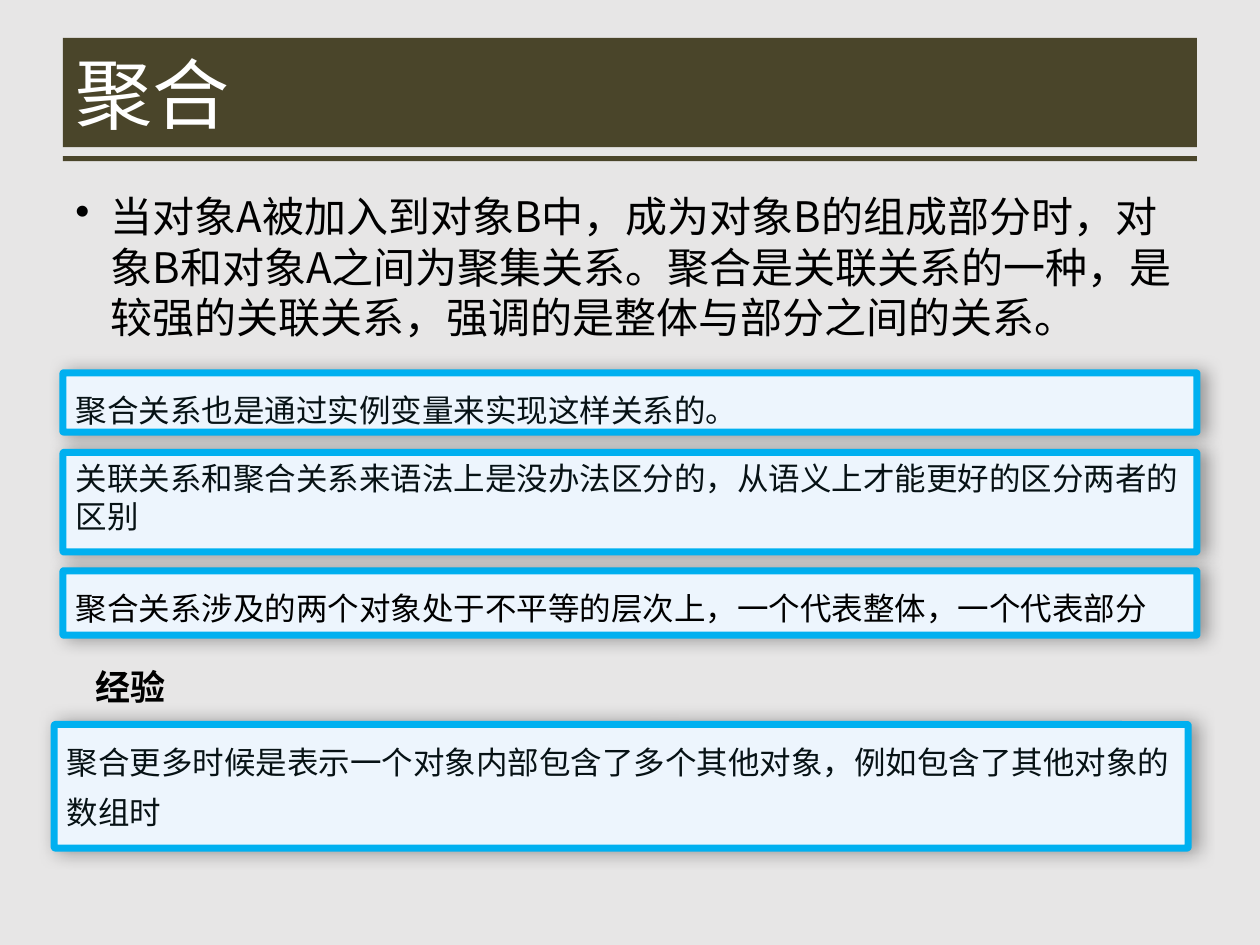
import lxml.etree
import pptx
import pptx.dml.color
import pptx.enum.shapes
import pptx.enum.text
import pptx.oxml.ns
import pptx.util

Pt = pptx.util.Pt
RGBColor = pptx.dml.color.RGBColor
MSO_SHAPE = pptx.enum.shapes.MSO_SHAPE
ANCHOR = pptx.enum.text.MSO_ANCHOR
qn = pptx.oxml.ns.qn

BACKGROUND = RGBColor(0xE7, 0xE6, 0xE6)
OLIVE = RGBColor(0x4A, 0x45, 0x2A)
WHITE = RGBColor(0xFF, 0xFF, 0xFF)
BLACK = RGBColor(0, 0, 0)
INK = RGBColor(0x07, 0x12, 0x15)
PALE_BLUE = RGBColor(0xED, 0xF5, 0xFD)
SKY_BLUE = RGBColor(0x00, 0xB0, 0xF0)

LEFT, WIDTH = 36, 648
SINGLE, LOOSE = 21.7, 28.6


class SlideStyler:
    font_name = "Noto Sans CJK SC"

    def __init__(self, slide):
        self.slide = slide
        slide.background.fill.solid()
        slide.background.fill.fore_color.rgb = BACKGROUND

    def wording(self, shape, words, size, color, bold=False,
                anchor=ANCHOR.TOP, wrap=True, spacing=None):
        frame = shape.text_frame
        frame.word_wrap = wrap
        frame.vertical_anchor = anchor
        paragraph = frame.paragraphs[0]
        paragraph.text = words
        paragraph.alignment = pptx.enum.text.PP_ALIGN.LEFT
        if spacing:
            paragraph.line_spacing = Pt(spacing)
        font = paragraph.font
        font.name, font.size, font.bold = self.font_name, Pt(size), bold
        font.color.rgb = color
        latin = paragraph._p.pPr.find(qn("a:defRPr")).find(qn("a:latin"))
        east_asian = lxml.etree.Element(qn("a:ea"), typeface=self.font_name)
        latin.addnext(east_asian)
        return paragraph

    def text(self, left, top, width, height, words, size, color, **style):
        box = self.slide.shapes.add_textbox(Pt(left), Pt(top), Pt(width), Pt(height))
        return self.wording(box, words, size, color, **style)

    def bullet(self, paragraph, indent):
        properties = paragraph._p.get_or_add_pPr()
        properties.set("marL", str(Pt(indent)))
        properties.set("indent", str(-Pt(indent)))
        mark = lxml.etree.Element(qn("a:buChar"), char="•")
        properties.find(qn("a:defRPr")).addprevious(mark)

    def shadow(self, properties, blur, distance, direction, opacity):
        effects = properties.find(qn("a:effectLst"))
        if effects is None:
            effects = lxml.etree.SubElement(properties, qn("a:effectLst"))
        outer = lxml.etree.SubElement(
            effects, qn("a:outerShdw"), blurRad=str(Pt(blur)),
            dist=str(Pt(distance)), dir=str(direction * 60000))
        color = lxml.etree.SubElement(outer, qn("a:srgbClr"), val=str(BLACK))
        lxml.etree.SubElement(color, qn("a:alpha"), val=str(opacity * 1000))

    def block(self, kind, left, top, width, height, fill):
        shape = self.slide.shapes.add_shape(
            kind, Pt(left), Pt(top), Pt(width), Pt(height))
        shape.shadow.inherit = False
        shape.fill.solid()
        shape.fill.fore_color.rgb = fill
        shape.line.fill.background()
        return shape

    def note(self, left, top, height, words, color, spacing):
        card = self.block(MSO_SHAPE.ROUNDED_RECTANGLE, left, top, WIDTH, height, PALE_BLUE)
        card.adjustments[0] = 0.01
        card.line.color.rgb = SKY_BLUE
        card.line.width = Pt(4)
        self.shadow(card._element.spPr, 10, 3, 0, 35)
        self.wording(card, words, 18, color, spacing=spacing)


def main():
    deck = pptx.Presentation()
    deck.slide_width, deck.slide_height = Pt(720), Pt(540)
    styler = SlideStyler(deck.slides.add_slide(deck.slide_layouts[6]))

    for top, height in ((21.6, 62.6), (89.3, 2.9)):
        styler.block(MSO_SHAPE.RECTANGLE, LEFT, top, WIDTH, height, OLIVE)
    styler.text(LEFT, 21.6, WIDTH, 62.6, "聚合", 44, WHITE, anchor=ANCHOR.MIDDLE)

    definition = styler.text(
        LEFT, 105.8, WIDTH, 376.6,
        "当对象A被加入到对象B中，成为对象B的组成部分时，对象B和对象A之间为聚集关系。"
        "聚合是关联关系的一种，是较强的关联关系，强调的是整体与部分之间的关系。",
        24, BLACK, spacing=LOOSE)
    definition.space_before = Pt(4.8)
    styler.bullet(definition, 20.2)

    notes = (
        (LEFT, 213.1, 33.8, "聚合关系也是通过实例变量来实现这样关系的。", INK, LOOSE),
        (LEFT, 326.2, 36.7,
         "聚合关系涉及的两个对象处于不平等的层次上，一个代表整体，一个代表部分", BLACK, LOOSE),
        (LEFT, 258.5, 56.9,
         "关联关系和聚合关系来语法上是没办法区分的，从语义上才能更好的区分两者的区别", INK, SINGLE),
        (31, 414, 70.6,
         "聚合更多时候是表示一个对象内部包含了多个其他对象，例如包含了其他对象的数组时", INK, LOOSE),
    )
    for note in notes:
        styler.note(*note)

    experience = styler.text(47.5, 376.6, 55.4, 31.7, "经验", 20, BLACK,
                             bold=True, anchor=ANCHOR.MIDDLE, wrap=False)
    styler.shadow(experience.runs[0]._r.get_or_add_rPr(), 3, 2, 45, 45)

    deck.save("out.pptx")


if __name__ == "__main__":
    main()
